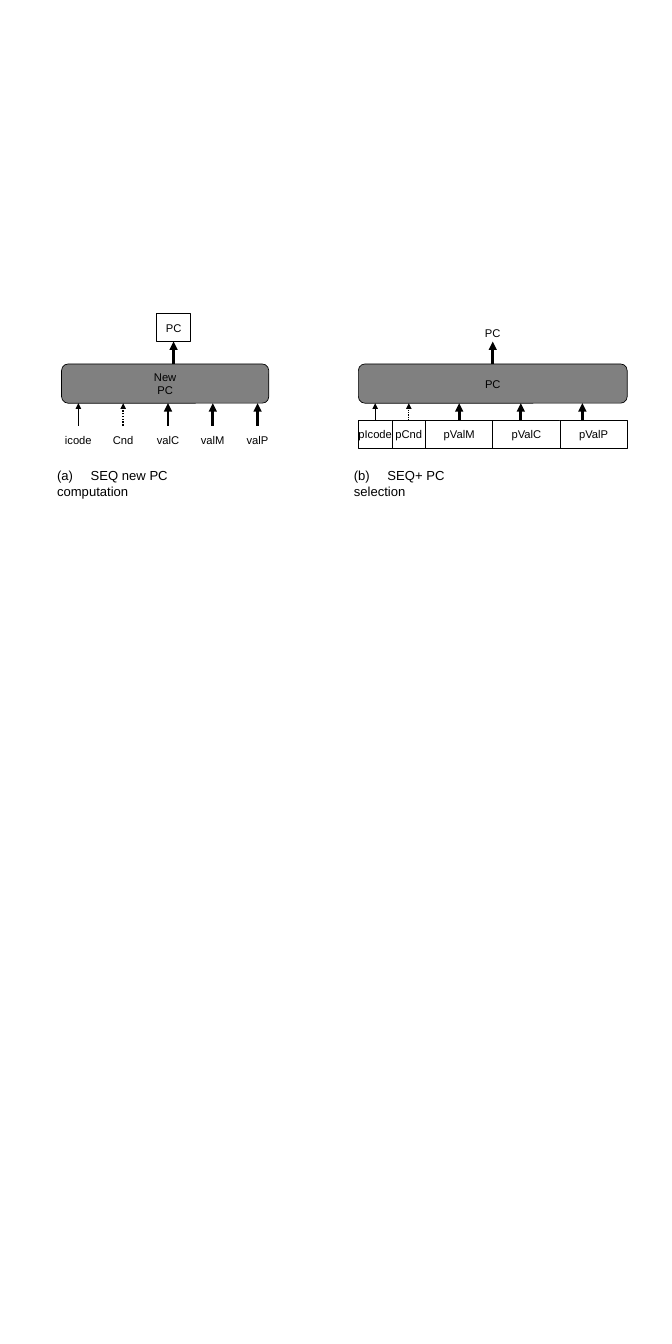
from dataclasses import dataclass
from lxml.etree import SubElement
from pptx import Presentation
from pptx.dml.color import RGBColor
from pptx.enum.dml import MSO_LINE
from pptx.enum.shapes import MSO_CONNECTOR, MSO_SHAPE
from pptx.enum.text import MSO_ANCHOR, MSO_AUTO_SIZE, PP_ALIGN
from pptx.oxml.ns import qn
from pptx.util import Inches, Pt


@dataclass(frozen=True)
class Theme:
    ink: RGBColor = RGBColor(0, 0, 0)
    paper: RGBColor = RGBColor(255, 255, 255)
    logic: RGBColor = RGBColor(128, 128, 128)
    font: str = "Arial"
    label: Pt = Pt(12)
    caption: Pt = Pt(14)
    outline: Pt = Pt(0.75)
    bit: Pt = Pt(1)
    flag: Pt = Pt(1.5)
    word: Pt = Pt(3)


THEME = Theme()
CELL = Inches(1) // 12
NODE_W, NODE_H, BAR_H, GAP = 6, 5, 7, 4


def grid(*cells):
    return [round(c * CELL) for c in cells]


def style_text(tf, text, size, align):
    tf.text = text
    tf.word_wrap = False
    for p in tf.paragraphs:
        p.alignment = align
        for r in p.runs:
            r.font.name, r.font.size = THEME.font, size
            r.font.color.rgb = THEME.ink


def add_node(s, kind, box, text, fill=None):
    sp = s.shapes.add_shape(kind, *grid(*box))
    sp.shadow.inherit = False
    if fill is None:
        sp.fill.background()
        sp.line.fill.background()
    else:
        sp.fill.solid()
        sp.fill.fore_color.rgb = fill
        sp.line.color.rgb = THEME.ink
        sp.line.width = THEME.outline
    sp.text_frame.vertical_anchor = MSO_ANCHOR.MIDDLE
    style_text(sp.text_frame, text, THEME.label, PP_ALIGN.CENTER)
    return sp


def add_value(s, box, text, stored):
    if stored:
        return add_node(s, MSO_SHAPE.RECTANGLE, box, text, THEME.paper)
    return add_node(s, MSO_SHAPE.OVAL, box, text)


def add_arrow(s, x, start, end, width, dash=None):
    c = s.shapes.add_connector(MSO_CONNECTOR.STRAIGHT, *grid(x, start, x, end))
    c.line.color.rgb = THEME.ink
    c.line.width = width
    if dash:
        c.line.dash_style = dash
    SubElement(c.line._get_or_add_ln(), qn("a:tailEnd"), type="triangle")
    SubElement(c._element.spPr, qn("a:effectLst"))
    return c


def add_caption(s, box, text):
    tb = s.shapes.add_textbox(*grid(*box))
    tf = tb.text_frame
    tf.text = text
    pPr = tf.paragraphs[0]._p.get_or_add_pPr()
    tabs = SubElement(pPr, qn("a:tabLst"))
    SubElement(tabs, qn("a:tab"), pos=str(Inches(0.35)), algn="l")
    style_text(tf, text, THEME.caption, PP_ALIGN.LEFT)
    tf.auto_size = MSO_AUTO_SIZE.SHAPE_TO_FIT_TEXT


def add_panel(s, box, title, output, inputs, input_gap, stored, caption, caption_w):
    left, top, width = box
    bottom = top + BAR_H
    bar = add_node(s, MSO_SHAPE.ROUNDED_RECTANGLE, (left, top, width, BAR_H),
                   title, THEME.logic)

    name, out_x, lift, out_stored = output
    out_x += left
    pc = add_value(s, (out_x - NODE_W / 2, top - lift, NODE_W, NODE_H), name, out_stored)
    out = add_arrow(s, out_x, top, top - GAP, THEME.word)
    if out_x == left + width / 2:
        out.begin_connect(bar, 0)
    if lift == GAP + NODE_H:
        out.end_connect(pc, 2)

    row = bottom + input_gap
    for text, x, w, arrow_x, weight, dash in inputs:
        node = add_value(s, (left + x, row, w, NODE_H), text, stored)
        arrow = add_arrow(s, left + arrow_x, row, bottom, weight, dash)
        if arrow_x == x + w / 2:
            arrow.begin_connect(node, 0)

    add_caption(s, (left - 2, top + 17.85, caption_w, 4), caption)


def main():
    prs = Presentation()
    prs.slide_width, prs.slide_height = Inches(10), Inches(20)
    s = prs.slides.add_slide(prs.slide_layouts[6])

    dot = MSO_LINE.ROUND_DOT
    bit, flag, word = THEME.bit, THEME.flag, THEME.word
    signals = [("icode", bit, None), ("Cnd", flag, dot),
               ("valC", word, None), ("valM", word, None), ("valP", word, None)]
    pitch = NODE_W + 2
    seq = [(name, i * pitch, NODE_W, i * pitch + NODE_W / 2, weight, dash)
           for i, (name, weight, dash) in enumerate(signals)]
    seq_plus = [("pIcode", 0, 6, 3, bit, None), ("pCnd", 6, 6, 9, bit, dot),
                ("pValM", 12, 12, 18, word, None),
                ("pValC", 24, 12, 29, word, None),
                ("pValP", 36, 12, 40, word, None)]

    add_panel(s, (11, 65, 37), "New\nPC", ("PC", 20, 9, True), seq, 4, False,
              "(a)\tSEQ new PC computation", 34)
    add_panel(s, (64, 65, 48), "PC", ("PC", 24, 8, False), seq_plus, 3, True,
              "(b)\tSEQ+ PC selection", 26.8)
    prs.save("out.pptx")


if __name__ == "__main__":
    main()
